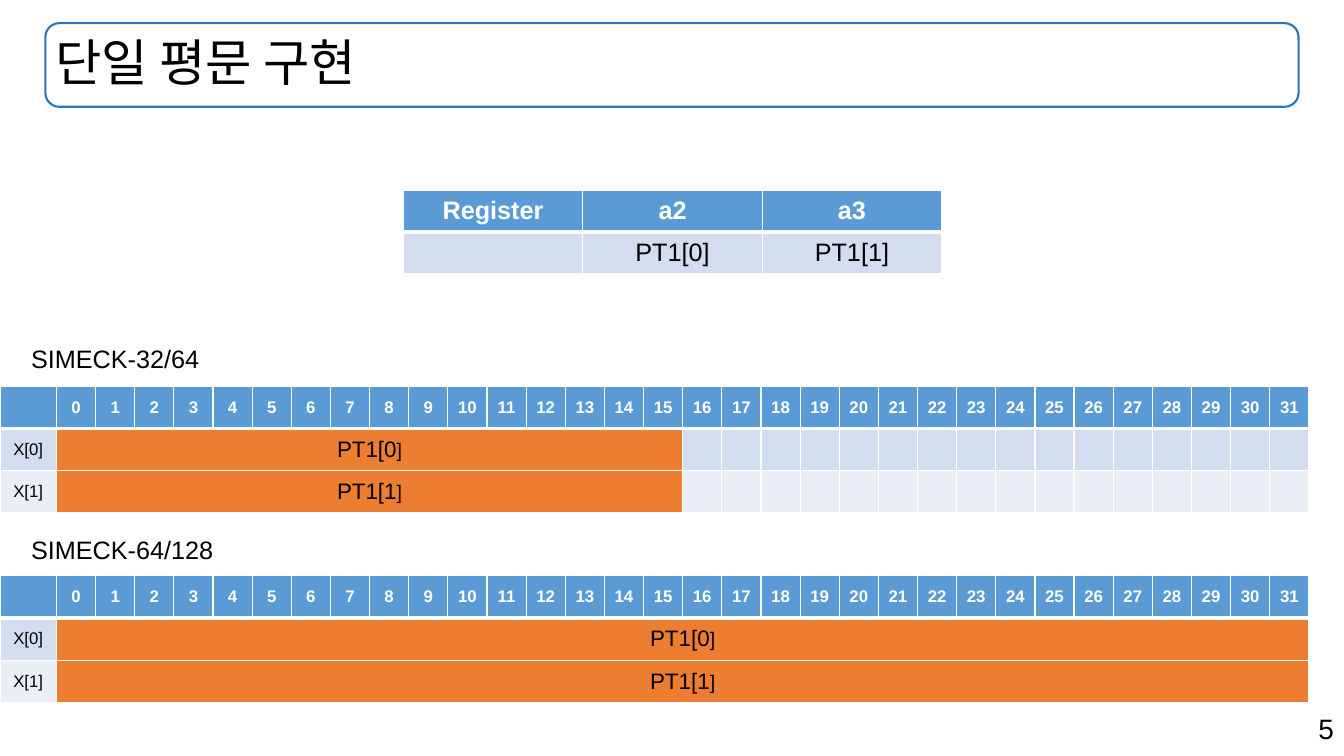
from lxml import etree
from pptx import Presentation
from pptx.dml.color import RGBColor
from pptx.enum.shapes import MSO_SHAPE as Shape
from pptx.enum.text import MSO_ANCHOR as Anchor, MSO_AUTO_SIZE as AutoSize, PP_ALIGN as Align
from pptx.oxml.ns import qn
from pptx.util import Inches, Pt

BLACK = RGBColor(0x00, 0x00, 0x00)
WHITE = RGBColor(0xFF, 0xFF, 0xFF)
FRAME_BLUE = RGBColor(0x2E, 0x75, 0xB6)
HEADER_BLUE = RGBColor(0x5B, 0x9B, 0xD5)
BAND_DARK = RGBColor(0xD2, 0xDE, 0xEF)
BAND_LIGHT = RGBColor(0xEA, 0xEF, 0xF7)
ORANGE = RGBColor(0xED, 0x7D, 0x31)
ROW_FILLS = [HEADER_BLUE, BAND_DARK, BAND_LIGHT]


def write(frame, text, size=18, color=BLACK, bold=False, align=Align.LEFT):
    """Append a formatted run to the frame's first paragraph."""
    paragraph = frame.paragraphs[0]
    paragraph.alignment = align
    run = paragraph.add_run()
    run.text = text
    run.font.name = "Arial"
    run.font.size = Pt(size)
    run.font.bold = bold
    run.font.color.rgb = color
    return paragraph


def add_grid(left, top, column_widths, row_heights):
    """Add a table with banded fills and white rules, thicker below the header."""
    shape = slide.shapes.add_table(
        len(row_heights), len(column_widths), Inches(left), Inches(top),
        Inches(sum(column_widths)), Inches(sum(row_heights)))
    table = shape.table
    for column, width in zip(table.columns, column_widths):
        column.width = Inches(width)
    for row_index, (row, height) in enumerate(zip(table.rows, row_heights)):
        row.height = Inches(height)
        rules = {"a:lnL": 1, "a:lnR": 1,
                 "a:lnT": 3 if row_index == 1 else 1,
                 "a:lnB": 3 if row_index == 0 else 1}
        for cell in row.cells:
            cell.vertical_anchor = Anchor.MIDDLE
            cell.margin_left = cell.margin_right = Inches(0.05)
            properties = cell._tc.get_or_add_tcPr()
            for tag, width in rules.items():
                line = etree.SubElement(properties, qn(tag), w=str(Pt(width)))
                fill = etree.SubElement(line, qn("a:solidFill"))
                etree.SubElement(fill, qn("a:srgbClr"), val=str(WHITE))
            cell.fill.solid()
            cell.fill.fore_color.rgb = ROW_FILLS[row_index]
    return table


presentation = Presentation()
presentation.slide_width = Inches(13.33)
presentation.slide_height = Inches(7.5)
slide = presentation.slides.add_slide(presentation.slide_layouts[5])

# Title and its rounded frame
title_box = [Inches(value) for value in (0.45, 0.23, 12.43, 0.83)]
title_frame = slide.shapes.add_shape(Shape.ROUNDED_RECTANGLE, *title_box)
title_frame.shadow.inherit = False
title_frame.fill.background()
title_frame.line.color.rgb = FRAME_BLUE
title_frame.line.width = Pt(1.5)

title = slide.shapes.title
title.left, title.top, title.width, title.height = title_box
title.text_frame.auto_size = AutoSize.NONE
title.text_frame.vertical_anchor = Anchor.MIDDLE
write(title.text_frame, "단일 평문 구현", size=36).line_spacing = 0.9

# Register table
registers = add_grid(4, 1.89, [1.78] * 3, [0.41] * 2)
for column, name in enumerate(["Register", "a2", "a3"]):
    write(registers.cell(0, column).text_frame, name,
          color=WHITE, bold=True, align=Align.CENTER)
for word in range(2):
    write(registers.cell(1, word + 1).text_frame, f"PT1[{word}]", align=Align.CENTER)

# Bit layouts: the plaintext words fill the first bits of each register
BITS = 32
LABEL_WIDTH = 0.56
BIT_WIDTH = (12.99 - LABEL_WIDTH) / BITS
for top, used_bits in [(5.71, 32), (3.83, 16)]:
    layout = add_grid(0, top, [LABEL_WIDTH] + [BIT_WIDTH] * BITS, [0.42] * 3)
    for bit in range(BITS):
        write(layout.cell(0, bit + 1).text_frame, str(bit), size=12,
              color=WHITE, bold=True, align=Align.CENTER)
    for word in range(2):
        row = word + 1
        write(layout.cell(row, 0).text_frame, f"X[{word}]", size=12, align=Align.CENTER)
        plaintext = layout.cell(row, 1)
        plaintext.merge(layout.cell(row, used_bits))
        plaintext.fill.solid()
        plaintext.fill.fore_color.rgb = ORANGE
        write(plaintext.text_frame, f"PT1[{word}", size=16, align=Align.CENTER)
        write(plaintext.text_frame, "]", size=14, align=Align.CENTER)

# Cipher labels and page number
for text, left, top, width, height, size, align in [
    ("SIMECK-32/64", 0.21, 3.36, 1.88, 0.4, 18, Align.LEFT),
    ("SIMECK-64/128", 0.21, 5.25, 2.03, 0.4, 18, Align.LEFT),
    ("5", 9.43, 7.01, 3.9, 0.44, 20, Align.RIGHT),
]:
    label = slide.shapes.add_textbox(Inches(left), Inches(top), Inches(width), Inches(height))
    label.text_frame.word_wrap = True
    write(label.text_frame, text, size=size, align=align)

presentation.save("out.pptx")
